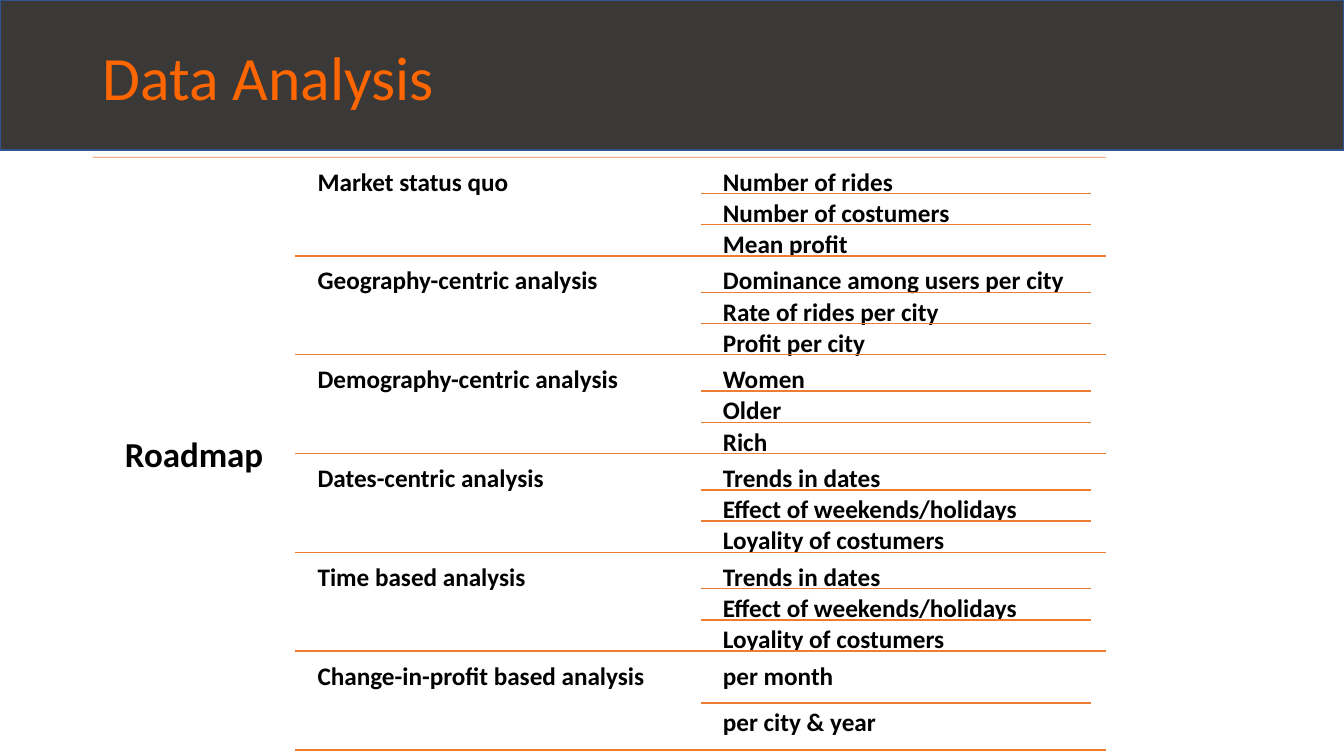
import pptx
import pptx.util
import pptx.dml.color
import pptx.enum.shapes
import pptx.enum.text
import pptx.oxml.ns
import lxml.etree

Inches = pptx.util.Inches
Pt = pptx.util.Pt
RGBColor = pptx.dml.color.RGBColor
Align = pptx.enum.text.PP_ALIGN
Anchor = pptx.enum.text.MSO_ANCHOR

DARK = RGBColor(0x3B, 0x38, 0x38)
EDGE = RGBColor(0x32, 0x54, 0x91)
TITLE = RGBColor(0xFF, 0x66, 0x00)
RULE = RGBColor(0xED, 0x7D, 0x31)
BLACK = RGBColor(0, 0, 0)

LEFT, MID, RIGHT = 0.92, 2.93, 10.97
TOP = 1.56
PAD = 0.05
GROUP = 0.93
STEP = GROUP + PAD
WIDE = 3.87
TOPIC, ITEM = 3.08, 7.1

ROADMAP = [
    ("Market status quo",
     ["Number of rides", "Number of costumers", "Mean profit"]),
    ("Geography-centric analysis",
     ["Dominance among users per city", "Rate of rides per city",
      "Profit per city"]),
    ("Demography-centric analysis", ["Women", "Older", "Rich"]),
    ("Dates-centric analysis",
     ["Trends in dates", "Effect of weekends/holidays",
      "Loyality of costumers"]),
    ("Time based analysis",
     ["Trends in dates", "Effect of weekends/holidays",
      "Loyality of costumers"]),
    ("Change-in-profit based analysis", ["per month", "per city & year"]),
]


def assign(target, values):
    for name, value in values.items():
        setattr(target, name, value)


def add_band(slide):
    band = slide.shapes.add_shape(
        pptx.enum.shapes.MSO_SHAPE.RECTANGLE,
        0, 0, Inches(13.33), Inches(1.49))
    band.shadow.inherit = False
    band.fill.solid()
    band.fill.fore_color.rgb = DARK
    band.line.color.rgb = EDGE
    band.line.width = Pt(1)


def add_label(slide, text, box, size=18, color=BLACK, bold=True,
              inset=(0.07, 0.07), anchor=Anchor.TOP, align=Align.LEFT):
    """Add one line of text; inset is (side, top and bottom) in inches."""
    frame = slide.shapes.add_textbox(*map(Inches, box)).text_frame
    side, end = map(Inches, inset)
    assign(frame, {
        "word_wrap": True, "vertical_anchor": anchor,
        "margin_left": side, "margin_right": side,
        "margin_top": end, "margin_bottom": end})
    para = frame.paragraphs[0]
    assign(para, {"alignment": align, "line_spacing": 0.9})
    run = para.add_run()
    run.text = text
    assign(run.font, {"name": "Calibri", "size": Pt(size), "bold": bold})
    run.font.color.rgb = color


def add_rule(slide, start, end, top, width=1):
    rule = slide.shapes.add_connector(
        pptx.enum.shapes.MSO_CONNECTOR.STRAIGHT,
        Inches(start), Inches(top), Inches(end), Inches(top))
    rule.line.color.rgb = RULE
    rule.line.width = Pt(width)
    lxml.etree.SubElement(rule._element.spPr,
                          pptx.oxml.ns.qn("a:effectLst"))
    return rule


def fade(rule, percent):
    """Set the opacity of a rule."""
    color = rule._element.spPr.find(".//" + pptx.oxml.ns.qn("a:srgbClr"))
    alpha = lxml.etree.SubElement(color, pptx.oxml.ns.qn("a:alpha"))
    alpha.set("val", str(percent * 1000))


def add_group(slide, top, topic, items):
    """Add a topic, its items and the rules beneath them."""
    add_label(slide, topic, (TOPIC, top, WIDE, GROUP))
    height = GROUP / len(items)
    for index, item in enumerate(items):
        place = top + index * height
        add_label(slide, item, (ITEM, place, WIDE, height))
        if index < len(items) - 1:
            add_rule(slide, 6.95, 10.82, place + height)
    add_rule(slide, MID, RIGHT, top + GROUP)


def main():
    deck = pptx.Presentation()
    assign(deck, {"slide_width": Inches(13.33), "slide_height": Inches(7.5)})
    slide = deck.slides.add_slide(deck.slide_layouts[6])
    add_band(slide)
    add_label(slide, "Data Analysis", (LEFT, 0.07, 11.5, 1.45), size=44,
              color=TITLE, bold=False, inset=(0.1, 0.05),
              anchor=Anchor.MIDDLE)
    fade(add_rule(slide, LEFT, RIGHT, TOP, width=0.5), 90)
    add_label(slide, "Roadmap", (LEFT, TOP, MID - LEFT, 5.94), size=25,
              inset=(0.1, 0.1), anchor=Anchor.MIDDLE, align=Align.CENTER)
    for index, (topic, items) in enumerate(ROADMAP):
        add_group(slide, TOP + PAD + index * STEP, topic, items)
    deck.save("out.pptx")


if __name__ == "__main__":
    main()
